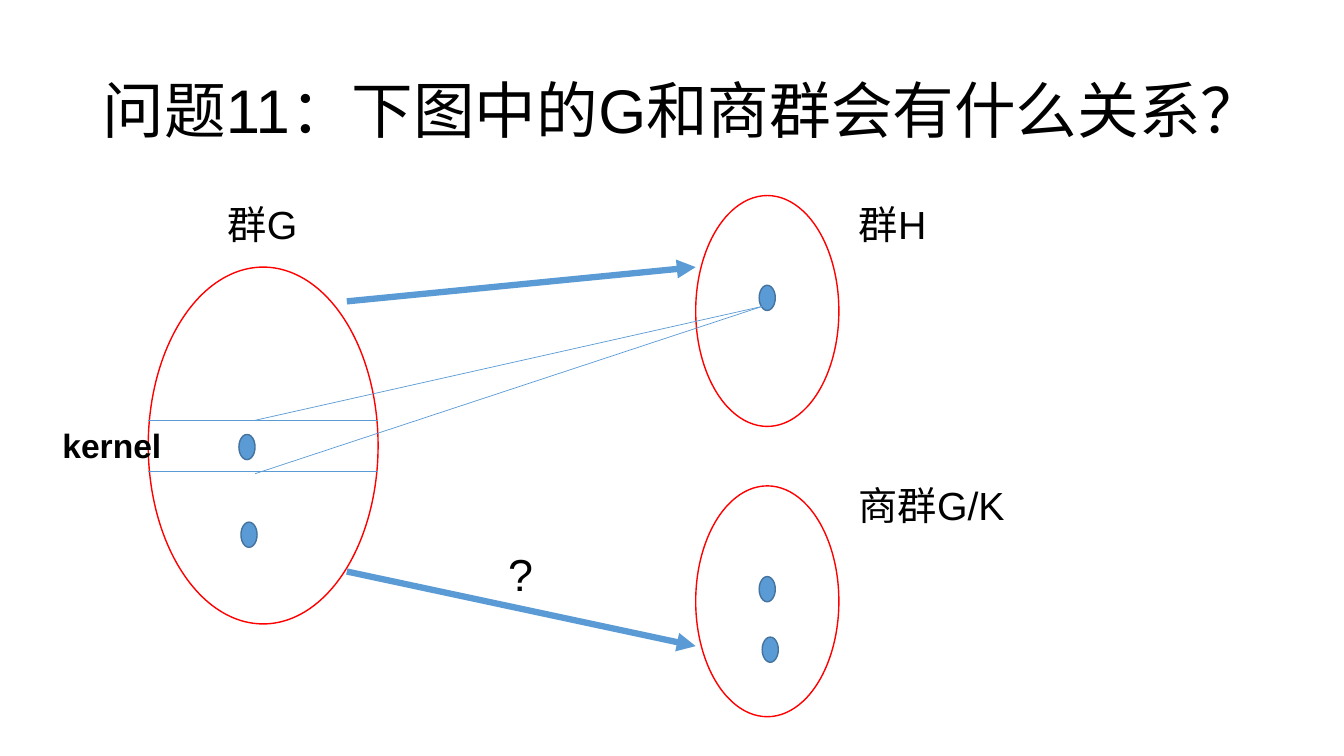
from dataclasses import dataclass

import pptx
import pptx.dml.color
import pptx.enum.shapes
import pptx.enum.text
import pptx.oxml.ns
import pptx.util
from lxml import etree
from pptx.util import Inches


@dataclass(frozen=True)
class Theme:
    font: str = "Arial"
    text: str = "000000"
    paper: str = "FFFFFF"
    outline: str = "FF0000"
    accent: str = "5B9BD5"
    accent_dark: str = "43739E"
    title_size: int = 44
    question_size: int = 32
    label_size: int = 28
    kernel_size: int = 24
    shape_line: float = 1
    thin_line: float = 0.5
    arrow_line: float = 4.5


THEME = Theme()
ANCHOR = pptx.enum.text.MSO_ANCHOR


def color(value):
    return pptx.dml.color.RGBColor.from_string(value)


def add_text(slide, text, box, size, bold=False, anchor=ANCHOR.TOP, line_spacing=None):
    shape = slide.shapes.add_textbox(*map(Inches, box))
    frame = shape.text_frame
    frame.word_wrap = True
    frame.vertical_anchor = anchor
    paragraph = frame.paragraphs[0]
    paragraph.line_spacing = line_spacing
    run = paragraph.add_run()
    run.text = text
    run.font.name = THEME.font
    run.font.size = pptx.util.Pt(size)
    run.font.bold = bold
    run.font.color.rgb = color(THEME.text)


def add_ellipse(slide, box, fill, line):
    shape = slide.shapes.add_shape(
        pptx.enum.shapes.MSO_SHAPE.OVAL, *map(Inches, box))
    shape.shadow.inherit = False
    shape.fill.solid()
    shape.fill.fore_color.rgb = color(fill)
    shape.line.color.rgb = color(line)
    shape.line.width = pptx.util.Pt(THEME.shape_line)


def add_line(slide, start, end, width, arrow=False):
    connector = slide.shapes.add_connector(
        pptx.enum.shapes.MSO_CONNECTOR.STRAIGHT, *map(Inches, (*start, *end)))
    connector.line.color.rgb = color(THEME.accent)
    connector.line.width = pptx.util.Pt(width)
    properties = connector.element.spPr
    if arrow:
        outline = properties.find(pptx.oxml.ns.qn("a:ln"))
        etree.SubElement(outline, pptx.oxml.ns.qn("a:tailEnd"), type="triangle")
    etree.SubElement(properties, pptx.oxml.ns.qn("a:effectLst"))


def add_group(slide, box, label, label_box, elements):
    left, top, width, height = box
    add_ellipse(slide, box, THEME.paper, THEME.outline)
    label_left, label_top, label_width = label_box
    add_text(slide, label, (left + label_left, top + label_top, label_width, 0.57),
             THEME.label_size)
    for element_left, element_top in elements:
        add_ellipse(slide, (left + element_left, top + element_top, 0.16, 0.25),
                    THEME.accent, THEME.accent_dark)


def add_kernel(slide, box, image):
    left, top, width, height = box
    for edge, source in ((top, top), (top + height, top + height + 0.02)):
        add_line(slide, image, (left + 1.06, source), THEME.thin_line)
        add_line(slide, (left, edge), (left + width, edge), THEME.thin_line)
    add_text(slide, "kernel", (left - 0.95, top, 1.19, 0.5),
             THEME.kernel_size, bold=True)


def add_mappings(slide, box):
    left, top, width, height = box
    right = left + width
    add_line(slide, (left, top + 0.34), (right, top), THEME.arrow_line, arrow=True)
    add_line(slide, (left, top + 3.02), (right, top + height),
             THEME.arrow_line, arrow=True)
    add_text(slide, "?", (left + 1.5, top + 2.72, 0.45, 0.64), THEME.question_size)


def main():
    presentation = pptx.Presentation()
    presentation.slide_width = Inches(13.33)
    presentation.slide_height = Inches(7.5)
    slide = presentation.slides.add_slide(presentation.slide_layouts[6])
    add_text(slide, "问题11：下图中的G和商群会有什么关系？", (0.92, 0.4, 11.5, 1.45),
             THEME.title_size, anchor=ANCHOR.MIDDLE, line_spacing=0.9)
    add_group(slide, (1.47, 2.65, 2.28, 3.54), "群G", (0.69, -0.71, 0.9),
              [(0.9, 1.66), (0.92, 2.53)])
    add_group(slide, (6.9, 1.94, 1.42, 2.29), "群H", (1.52, 0, 0.88),
              [(0.63, 0.89)])
    add_group(slide, (6.9, 4.82, 1.42, 2.29), "商群G/K", (1.52, -0.09, 1.66),
              [(0.63, 0.9), (0.66, 1.5)])
    add_kernel(slide, (1.47, 4.17, 2.28, 0.51), image=(7.56, 3.04))
    add_mappings(slide, (3.44, 2.65, 3.46, 3.76))
    presentation.save("out.pptx")


if __name__ == "__main__":
    main()
